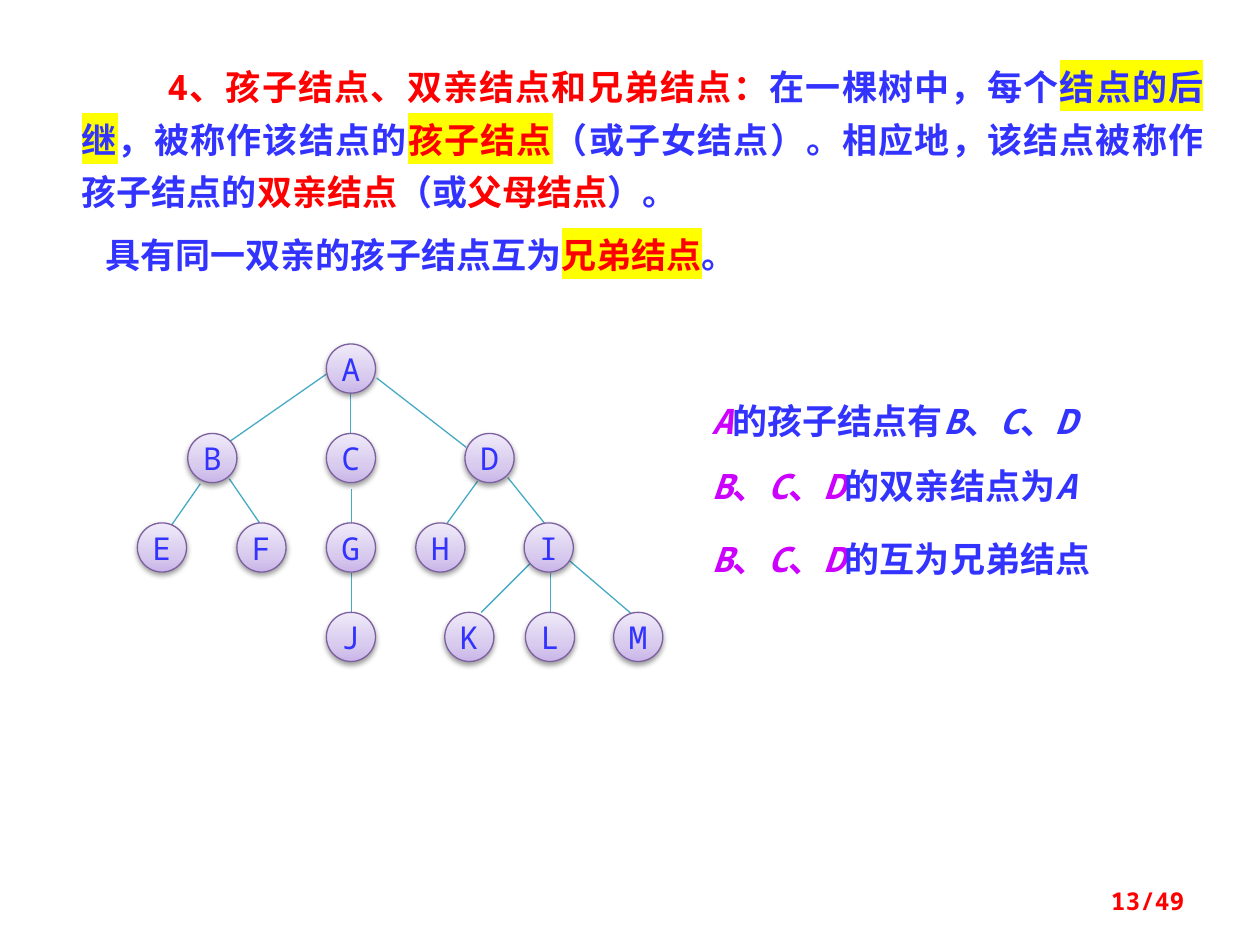
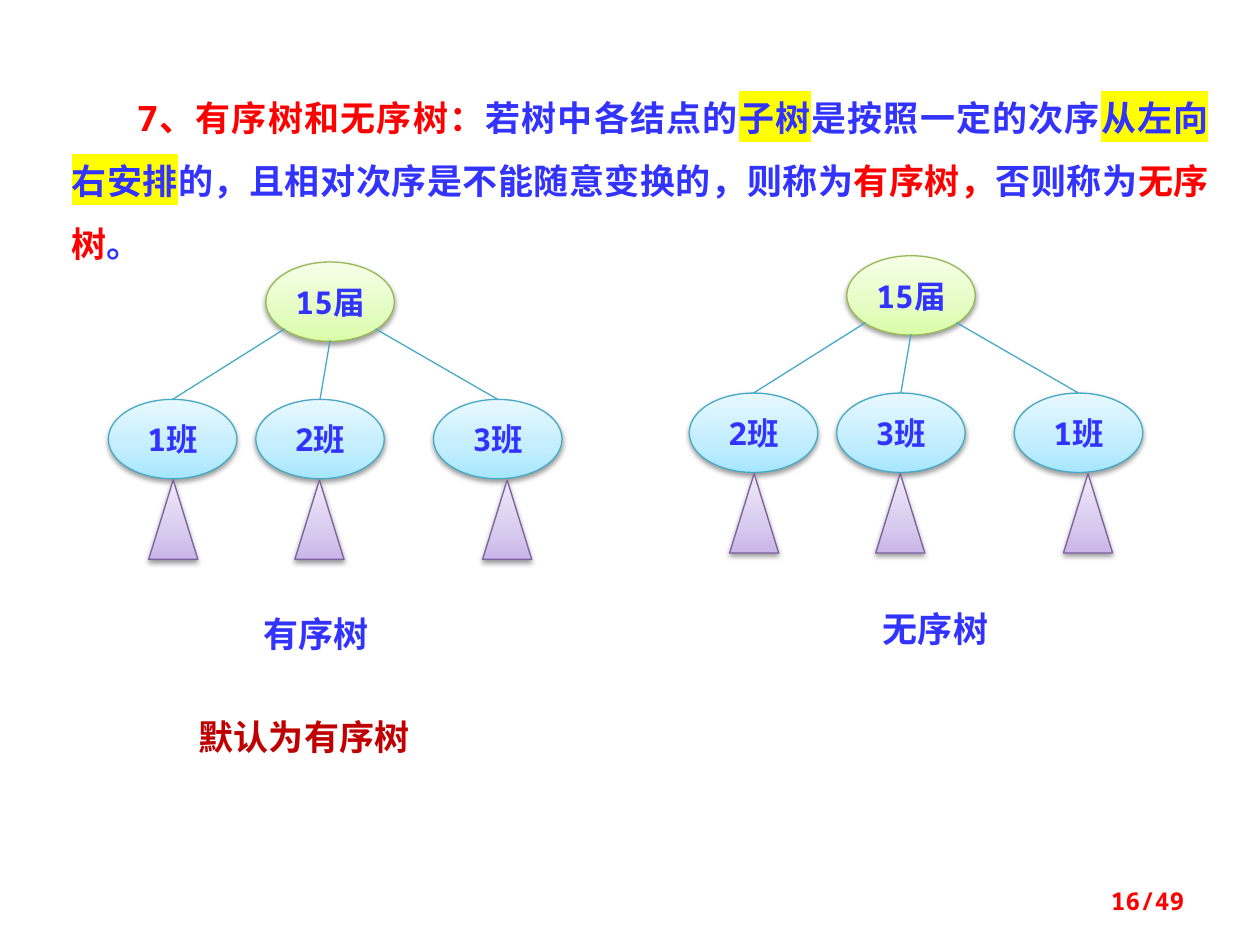
from dataclasses import dataclass
from typing import NamedTuple

from lxml import etree
from pptx import Presentation
from pptx.dml.color import RGBColor
from pptx.enum.shapes import MSO_CONNECTOR, MSO_SHAPE
from pptx.enum.text import MSO_ANCHOR, PP_ALIGN
from pptx.oxml.ns import qn
from pptx.util import Inches, Pt

ELLIPSE, TRIANGLE = MSO_SHAPE.OVAL, MSO_SHAPE.ISOSCELES_TRIANGLE
STRAIGHT = MSO_CONNECTOR.STRAIGHT
MIDDLE = MSO_ANCHOR.MIDDLE
LEFT, CENTER, RIGHT, JUSTIFY = PP_ALIGN.LEFT, PP_ALIGN.CENTER, PP_ALIGN.RIGHT, PP_ALIGN.JUSTIFY


class Finish(NamedTuple):
    """Gradient stops from bottom to top, and the outline colour."""
    bottom: str
    middle: str
    top: str
    outline: str


@dataclass(frozen=True)
class Theme:
    blue: str = "3333FF"
    red: str = "FF0000"
    dark_red: str = "C00000"
    purple: str = "CC00FF"
    marker: str = "FFFF00"
    edge: str = "46AAC5"
    lilac: Finish = Finish("C9B5E8", "D8CBEE", "F0EAF9", "7D60A0")
    green: Finish = Finish("DAFDA7", "E4FCC2", "F5FFE7", "98B955")
    sky: Finish = Finish("A7E6FF", "C1EDFF", "E7F8FF", "46AAC5")
    mono: str = "Noto Sans Mono"
    cjk: str = "Noto Sans CJK SC"
    body_size: float = 20
    node_size: float = 18
    page_size: float = 14
    line_width: float = 0.75


THEME = Theme()


class Box(NamedTuple):
    left: float
    top: float
    width: float
    height: float

    def lengths(self) -> list:
        return [Inches(value) for value in self]


class Edge(NamedTuple):
    x1: float
    y1: float
    x2: float
    y2: float


class Span(NamedTuple):
    text: str
    color: str = THEME.blue
    marked: bool = False
    italic: bool = False


@dataclass(frozen=True)
class Para:
    spans: list[Span]
    align: PP_ALIGN = LEFT
    indent: float = 0
    spacing: object = None
    before: float = 0
    size: float = THEME.body_size
    face: str = THEME.mono
    bold: bool = True


class Node(NamedTuple):
    label: str
    left: float
    level: int


@dataclass(frozen=True)
class YearTree:
    left: float
    top: float
    classes: list[str]
    caption: str
    caption_left: float
    caption_top: float


# ---- Shared drawing ----
def write_paragraph(paragraph, para: Para) -> None:
    paragraph.alignment = para.align
    if para.indent:
        paragraph._p.get_or_add_pPr().set("indent", str(Inches(para.indent)))
    if para.spacing:
        paragraph.line_spacing = para.spacing
    if para.before:
        paragraph.space_before = Pt(para.before)
    font = paragraph.font
    font.size, font.name, font.bold = Pt(para.size), para.face, para.bold
    defaults = paragraph._p.pPr.find(qn("a:defRPr"))
    etree.SubElement(defaults, qn("a:ea"), typeface=THEME.cjk)
    for span in para.spans:
        run = paragraph.add_run()
        run.text = span.text
        run.font.color.rgb = RGBColor.from_string(span.color)
        if span.italic:
            run.font.italic = True
        if span.marked:
            highlight = etree.SubElement(run._r.rPr, qn("a:highlight"))
            etree.SubElement(highlight, qn("a:srgbClr"), val=THEME.marker)


def add_text(slide, box: Box, *paras: Para, anchor=None) -> None:
    frame = slide.shapes.add_textbox(*box.lengths()).text_frame
    frame.word_wrap = True
    if anchor is not None:
        frame.vertical_anchor = anchor
    for index, para in enumerate(paras):
        write_paragraph(frame.add_paragraph() if index else frame.paragraphs[0], para)


def add_edge(slide, edge: Edge) -> None:
    line = slide.shapes.add_connector(STRAIGHT, *[Inches(value) for value in edge])
    line.line.color.rgb = RGBColor.from_string(THEME.edge)
    line.line.width = Pt(THEME.line_width)
    etree.SubElement(line._element.spPr, qn("a:effectLst"))


def add_solid(slide, kind, box: Box, finish: Finish):
    """Shape with a three-stop gradient, thin outline and soft shadow."""
    shape = slide.shapes.add_shape(kind, *box.lengths())
    shape.fill.gradient()
    shape.fill.gradient_angle = 90
    properties = shape._element.spPr
    stops = properties.find(qn("a:gradFill")).find(qn("a:gsLst"))
    for stop in list(stops):
        stops.remove(stop)
    for position, color in zip((0, 35, 100), finish):
        stop = etree.SubElement(stops, qn("a:gs"), pos=str(position * 1000))
        etree.SubElement(stop, qn("a:srgbClr"), val=color)
    shape.line.color.rgb = RGBColor.from_string(finish.outline)
    shape.line.width = Pt(THEME.line_width)
    shape.shadow.inherit = False
    shadow = etree.SubElement(
        properties.find(qn("a:effectLst")), qn("a:outerShdw"),
        blurRad=str(Pt(3.1)), dist=str(Pt(1.6)), dir="5400000", rotWithShape="0")
    black = etree.SubElement(shadow, qn("a:srgbClr"), val="000000")
    etree.SubElement(black, qn("a:alpha"), val="38000")
    return shape


def add_node(slide, box: Box, label: str, finish: Finish, bold: bool):
    frame = add_solid(slide, ELLIPSE, box, finish).text_frame
    frame.vertical_anchor = MIDDLE
    write_paragraph(frame.paragraphs[0],
                    Para([Span(label)], CENTER, size=THEME.node_size, bold=bold))
    return frame


def add_page_number(slide, page: int) -> None:
    number = Para([Span(f"{page}/49", THEME.red)], RIGHT, size=THEME.page_size)
    add_text(slide, Box(7.17, 6.95, 2.33, 0.4), number, anchor=MIDDLE)


# ---- Slide 1: children, parents and siblings ----
KINSHIP_DEFINITION = [
    Span("4、孩子结点、双亲结点和兄弟结点：", THEME.red),
    Span("在一棵树中，每个"),
    Span("结点的后继", marked=True),
    Span("，被称作该结点的"),
    Span("孩子结点", THEME.red, marked=True),
    Span("（或子女结点）。相应地，该结点被称作孩子结点的"),
    Span("双亲结点", THEME.red),
    Span("（或"),
    Span("父母结点", THEME.red),
    Span("）。"),
]
SIBLING_DEFINITION = [
    Span("具有同一双亲的孩子结点互为"),
    Span("兄弟结点", THEME.red, marked=True),
    Span("。"),
]

NODE_SIZE, TREE_TOP, LEVEL_PITCH = 0.39, 2.73, 0.71
LETTER_NODES = [
    Node("A", 2.59, 0),
    Node("B", 1.49, 1), Node("C", 2.59, 1), Node("D", 3.69, 1),
    Node("E", 1.09, 2), Node("F", 1.88, 2), Node("G", 2.59, 2),
    Node("H", 3.3, 2), Node("I", 4.16, 2),
    Node("J", 2.59, 3), Node("K", 3.53, 3), Node("L", 4.17, 3), Node("M", 4.87, 3),
]
LETTER_EDGES = [
    Edge(2.59, 2.97, 1.8, 3.52), Edge(2.78, 3.13, 2.78, 3.44), Edge(2.99, 3, 3.7, 3.55),
    Edge(1.59, 3.84, 1.36, 4.17), Edge(1.82, 3.8, 2.06, 4.15), Edge(2.79, 3.88, 2.79, 4.15),
    Edge(3.79, 3.82, 3.55, 4.15), Edge(4.03, 3.79, 4.32, 4.15), Edge(2.79, 4.55, 2.79, 4.86),
    Edge(4.21, 4.47, 3.82, 4.86), Edge(4.37, 4.55, 4.37, 4.86), Edge(4.52, 4.45, 5.01, 4.87),
]


def letters(names: str, color: str) -> list[Span]:
    """Italic node names separated by upright enumeration commas."""
    spans = []
    for name in names:
        if spans:
            spans.append(Span("、", color))
        spans.append(Span(name, color, italic=True))
    return spans


def build_kinship(slide) -> None:
    add_text(slide, Box(0.55, 0.39, 9.1, 1.87),
             Para(KINSHIP_DEFINITION, JUSTIFY, 0.68, Pt(30)),
             Para(SIBLING_DEFINITION, JUSTIFY, 0.19, Pt(30), before=6))
    for edge in LETTER_EDGES:
        add_edge(slide, edge)
    for node in LETTER_NODES:
        box = Box(node.left, TREE_TOP + node.level * LEVEL_PITCH, NODE_SIZE, NODE_SIZE)
        add_node(slide, box, node.label, THEME.lilac, bold=False).word_wrap = False

    # Relations read from the tree
    siblings = letters("BCD", THEME.purple)
    relations = [
        (3.12, 3.91, letters("A", THEME.purple) + [Span("的孩子结点有")] + letters("BCD", THEME.blue)),
        (3.64, 3.67, siblings + [Span("的双亲结点为")] + letters("A", THEME.blue)),
        (4.22, 3.67, siblings + [Span("的互为兄弟结点")]),
    ]
    for top, width, spans in relations:
        add_text(slide, Box(5.55, top, width, 0.44), Para(spans))
    add_page_number(slide, 13)


# ---- Slide 2: ordered and unordered trees ----
ORDER_DEFINITION = [
    Span("7、有序树和无序树：", THEME.red),
    Span("若树中各结点的"),
    Span("子树", marked=True),
    Span("是按照一定的次序"),
    Span("从左向右安排", marked=True),
    Span("的，且相对次序是不能随意变换的，则称为"),
    Span("有序树，", THEME.red),
    Span("否则称为"),
    Span("无序树", THEME.red),
    Span("。"),
]
YEAR_TREES = [
    YearTree(0.86, 2.08, ["1班", "2班", "3班"], "有序树", 1.8, 4.81),
    YearTree(5.47, 2.03, ["2班", "3班", "1班"], "无序树", 6.72, 4.77),
]
OVAL_WIDTH, OVAL_HEIGHT, SUBTREE_WIDTH = 1.02, 0.63, 0.39
YEAR_LEFT, CLASS_TOP, SUBTREE_TOP = 1.25, 1.09, 1.73
CLASS_LEFTS, SUBTREE_LEFTS = (0, 1.17, 2.58), (0.32, 1.48, 2.97)
BRANCH_STARTS = ((1.4, 0.53), (1.76, 0.62), (2.12, 0.53))


def caption(text: str, color: str, align: PP_ALIGN) -> Para:
    return Para([Span(text, color)], align, face=THEME.cjk)


def draw_year_tree(slide, tree: YearTree) -> None:
    def oval(left: float, top: float, label: str, finish: Finish) -> None:
        box = Box(tree.left + left, tree.top + top, OVAL_WIDTH, OVAL_HEIGHT)
        frame = add_node(slide, box, label, finish, bold=True)
        frame.margin_left = frame.margin_right = frame.margin_top = frame.margin_bottom = 0

    oval(YEAR_LEFT, 0, "15届", THEME.green)
    for label, left, subtree_left, (x, y) in zip(
            tree.classes, CLASS_LEFTS, SUBTREE_LEFTS, BRANCH_STARTS):
        oval(left, CLASS_TOP, label, THEME.sky)
        add_edge(slide, Edge(tree.left + x, tree.top + y,
                             tree.left + left + OVAL_WIDTH / 2, tree.top + CLASS_TOP))
        add_solid(slide, TRIANGLE, Box(tree.left + subtree_left, tree.top + SUBTREE_TOP,
                                       SUBTREE_WIDTH, OVAL_HEIGHT), THEME.lilac)
    add_text(slide, Box(tree.caption_left, tree.caption_top, 1.41, 0.44),
             caption(tree.caption, THEME.blue, CENTER))


def build_order(slide) -> None:
    add_text(slide, Box(0.47, 0.55, 9.22, 1.56), Para(ORDER_DEFINITION, JUSTIFY, 0.52, 1.5))
    for tree in YEAR_TREES:
        draw_year_tree(slide, tree)
    add_text(slide, Box(1.48, 5.63, 2.58, 0.44), caption("默认为有序树", THEME.dark_red, LEFT))
    add_page_number(slide, 16)


def main() -> None:
    deck = Presentation()
    deck.slide_width, deck.slide_height = Inches(10), Inches(7.5)
    blank = deck.slide_layouts[6]
    for build in (build_kinship, build_order):
        build(deck.slides.add_slide(blank))
    deck.save("out.pptx")


if __name__ == "__main__":
    main()
